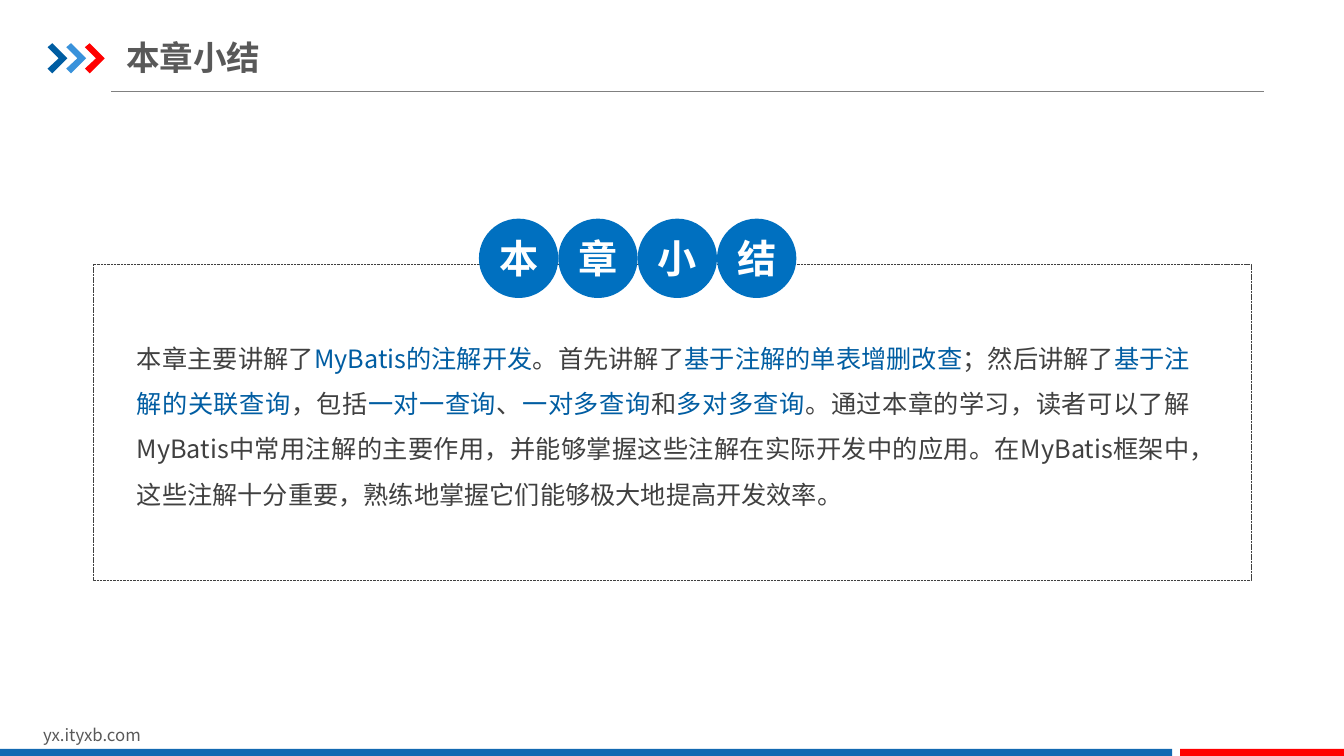
from lxml.etree import SubElement
from pptx import Presentation
from pptx.dml.color import RGBColor
from pptx.enum.dml import MSO_LINE
from pptx.enum.shapes import MSO_CONNECTOR, MSO_SHAPE
from pptx.enum.text import MSO_ANCHOR, MSO_AUTO_SIZE, PP_ALIGN
from pptx.oxml.ns import qn
from pptx.util import Cm, Pt

FONT = "Noto Sans CJK SC"
COLORS = {
    "navy": "005DA2", "sky": "3992DB", "red": "FF0000", "bar": "1369B2",
    "badge": "0070C0", "rule": "808080", "grey": "595959", "dark": "404040",
    "white": "FFFFFF",
}


def paint(sp, color):
    sp.shadow.inherit = False
    sp.fill.solid()
    sp.fill.fore_color.rgb = RGBColor.from_string(COLORS[color])
    sp.line.fill.background()


def set_font(p, size, color, bold=False):
    p.font.size = Pt(size)
    p.font.bold = bold
    p.font.color.rgb = RGBColor.from_string(COLORS[color])
    p.font.name = FONT
    SubElement(p._p.pPr.find(qn("a:defRPr")), qn("a:ea"), typeface=FONT)


prs = Presentation()
prs.slide_width, prs.slide_height = Cm(33.87), Cm(19.05)
s = prs.slides.add_slide(prs.slide_layouts[5])

rule = s.shapes.add_connector(MSO_CONNECTOR.STRAIGHT, Cm(2.8), Cm(2.31), Cm(31.86), Cm(2.31))
rule.line.color.rgb = RGBColor.from_string(COLORS["rule"])
rule.line.width = Pt(0.75)
SubElement(rule._element.spPr, qn("a:effectLst"))

chevron = [(0, 0.1), (0.12, 0), (0.5, 0.38), (0.12, 0.76), (0, 0.64), (0.28, 0.38)]
for i, color in enumerate(["navy", "sky", "red"]):
    points = [(Cm(1.2 + 0.47 * i + x), Cm(1.09 + y)) for x, y in chevron]
    builder = s.shapes.build_freeform(*points[0])
    builder.add_line_segments(points[1:], close=True)
    paint(builder.convert_to_shape(), color)

for left, width, color in [(0, 29.54, "bar"), (29.74, 4.13, "red")]:
    sp = s.shapes.add_shape(MSO_SHAPE.RECTANGLE, Cm(left), Cm(18.87), Cm(width), Cm(0.18))
    paint(sp, color)

site = s.shapes.add_textbox(Cm(0.84), Cm(18.14), Cm(8.08), Cm(0.76))
tf = site.text_frame
tf.word_wrap = True
tf.text = "yx.ityxb.com"
set_font(tf.paragraphs[0], 12, "grey")

title = s.shapes.title
title.left, title.top, title.width, title.height = Cm(3.18), Cm(0.74), Cm(15.75), Cm(1.4)
tf = title.text_frame
tf.text = "本章小结"
tf.auto_size = MSO_AUTO_SIZE.NONE
tf.vertical_anchor = MSO_ANCHOR.MIDDLE
tf.margin_left = tf.margin_right = 0
tf.margin_top = tf.margin_bottom = Cm(0.18)
p = tf.paragraphs[0]
p.alignment = PP_ALIGN.LEFT
set_font(p, 24, "grey", True)

summary = s.shapes.add_textbox(Cm(3.12), Cm(8.08), Cm(27.2), Cm(4.95))
tf = summary.text_frame
tf.word_wrap = True
tf.margin_left = tf.margin_right = Cm(0.33)
tf.margin_top = tf.margin_bottom = Cm(0.18)
p = tf.paragraphs[0]
p.alignment = PP_ALIGN.JUSTIFY
p.line_spacing = 1.5
set_font(p, 18, "dark")
phrases = [
    "本章主要讲解了", "MyBatis的注解开发",
    "。首先讲解了", "基于注解的单表增删改查",
    "；然后讲解了", "基于注解的关联查询",
    "，包括", "一对一查询",
    "、", "一对多查询",
    "和", "多对多查询",
    "。通过本章的学习，读者可以了解MyBatis中常用注解的主要作用，并能够掌握这些注解在实际开发中的应用。"
    "在MyBatis框架中，这些注解十分重要，熟练地掌握它们能够极大地提高开发效率。",
]
for i, phrase in enumerate(phrases):
    r = p.add_run()
    r.text = phrase
    if i % 2:
        r.font.color.rgb = RGBColor.from_string(COLORS["navy"])

frame = s.shapes.add_shape(MSO_SHAPE.RECTANGLE, Cm(2.34), Cm(6.66), Cm(29.2), Cm(7.95))
frame.shadow.inherit = False
frame.fill.background()
frame.line.color.rgb = RGBColor.from_string(COLORS["dark"])
frame.line.width = Pt(0.25)
frame.line.dash_style = MSO_LINE.SQUARE_DOT

for i, char in enumerate("本章小结"):
    sp = s.shapes.add_shape(MSO_SHAPE.OVAL, Cm(12.07 + 2 * i), Cm(5.51), Cm(2), Cm(2))
    paint(sp, "badge")
    tf = sp.text_frame
    tf.margin_left = tf.margin_right = 0
    tf.vertical_anchor = MSO_ANCHOR.MIDDLE
    tf.text = char
    p = tf.paragraphs[0]
    p.alignment = PP_ALIGN.CENTER
    set_font(p, 28, "white", True)

prs.save("out.pptx")
